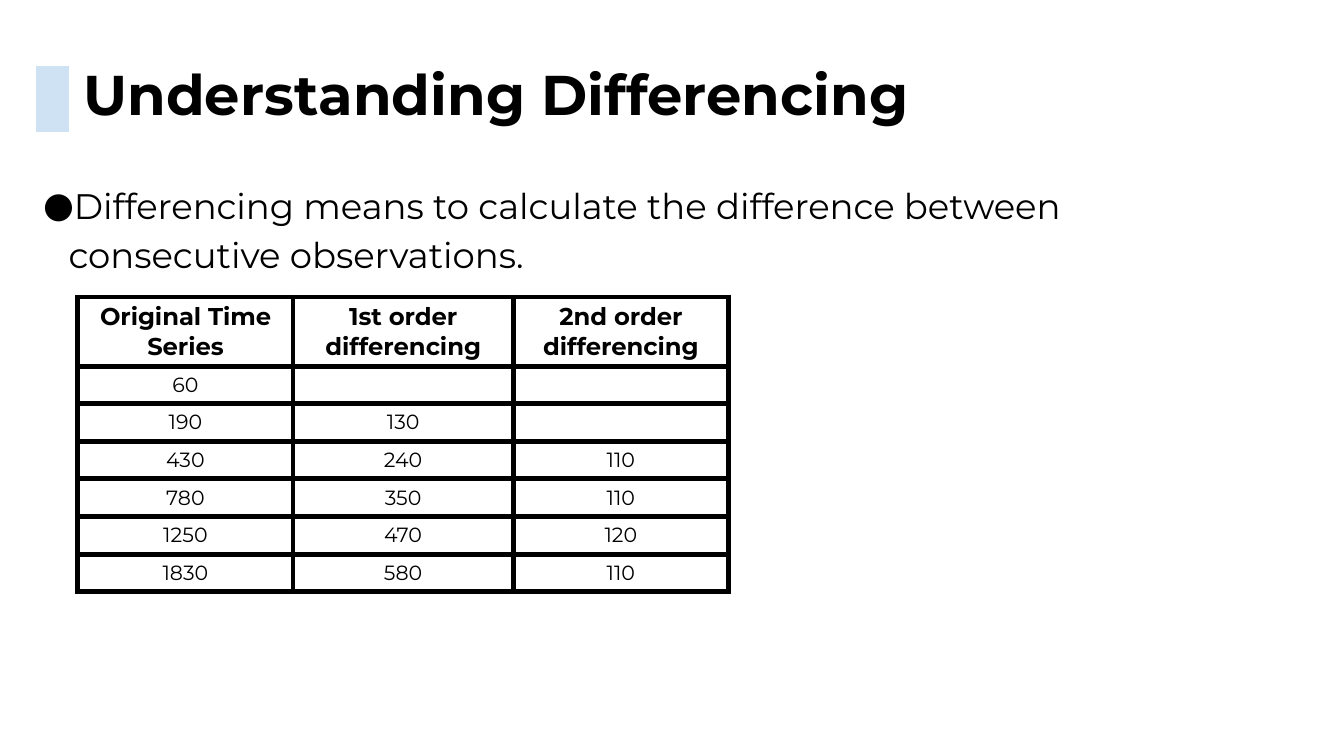
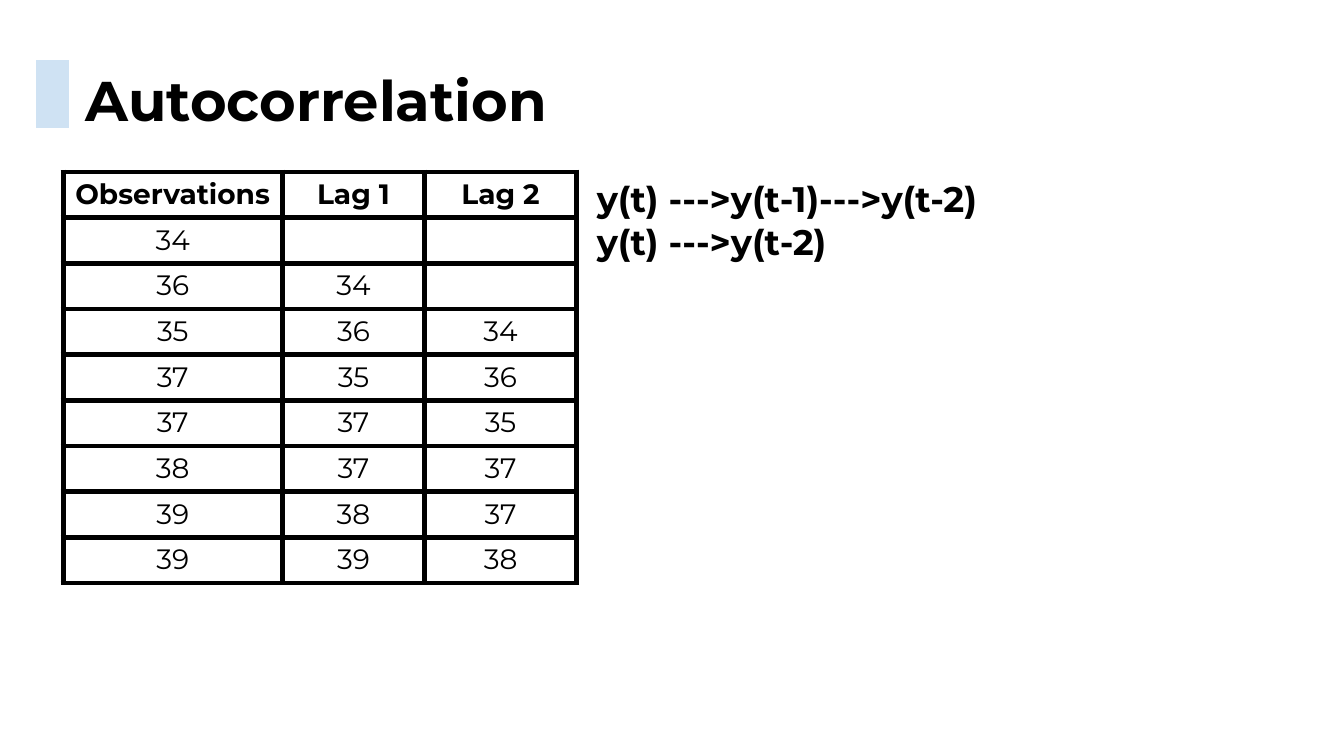
"""Build two slides on differencing and autocorrelation of a time series."""
from dataclasses import dataclass

from lxml.etree import SubElement
from pptx import Presentation
from pptx.dml.color import RGBColor
from pptx.enum.shapes import MSO_CONNECTOR
from pptx.enum.text import MSO_ANCHOR, PP_ALIGN
from pptx.oxml import parse_xml
from pptx.oxml.ns import nsdecls, qn
from pptx.util import Inches, Pt


@dataclass(frozen=True)
class Theme:
    """Colours, font and type sizes of the deck."""
    font: str = "Montserrat"
    ink: str = "000000"
    paper: str = "FFFFFF"
    accent: str = "CFE2F3"
    title_size: int = 30
    body_size: int = 19
    inset: float = 0.04
    accent_weight: int = 18
    border_weight: int = 3


class Deck:
    """Presentation with a shared style and a current slide."""

    def __init__(self, theme):
        """Start a 16:9 presentation."""
        self.theme = theme
        self.presentation = Presentation()
        self.presentation.slide_width = Inches(10)
        self.presentation.slide_height = Inches(10 * 9 / 16)
        self.slide = None

    def new_slide(self):
        """Add a blank slide and make it current."""
        blank = self.presentation.slide_layouts[6]
        self.slide = self.presentation.slides.add_slide(blank)
        background = self.slide.background.fill
        background.solid()
        background.fore_color.rgb = RGBColor.from_string(self.theme.paper)

    def add_run(self, paragraph, text, size, bold=False):
        """Append one styled run."""
        run = paragraph.add_run()
        run.text = text
        run.font.name = self.theme.font
        run.font.size = Pt(size)
        run.font.bold = bold
        run.font.color.rgb = RGBColor.from_string(self.theme.ink)

    def set_insets(self, holder):
        """Give a text frame or cell the shared margins."""
        inset = Inches(self.theme.inset)
        holder.margin_left = holder.margin_right = inset
        holder.margin_top = holder.margin_bottom = inset

    def add_text(self, lines, left, top, width, height, size, bold=False):
        """Add a text box with one paragraph per line and return its paragraphs."""
        frame = self.slide.shapes.add_textbox(
            Inches(left), Inches(top), Inches(width), Inches(height)).text_frame
        frame.word_wrap = True
        self.set_insets(frame)
        for index, line in enumerate(lines):
            paragraph = frame.add_paragraph() if index else frame.paragraphs[0]
            self.add_run(paragraph, line, size, bold)
        return frame.paragraphs

    def add_title(self, text, left, top, width):
        """Add a slide title."""
        self.add_text([text], left, top, width, 0.49, self.theme.title_size, True)

    def add_accent(self, top, bottom):
        """Add the thick vertical accent beside the title."""
        x = Inches(0.39)
        accent = self.slide.shapes.add_connector(
            MSO_CONNECTOR.STRAIGHT, x, Inches(top), x, Inches(bottom))
        accent.line.color.rgb = RGBColor.from_string(self.theme.accent)
        accent.line.width = Pt(self.theme.accent_weight)
        SubElement(accent._element.spPr, qn("a:effectLst"))

    def add_bullet(self, text, left, top, width, height):
        """Add a bulleted statement."""
        paragraph = self.add_text(
            [text], left, top, width, height, self.theme.body_size)[0]
        paragraph.line_spacing = 1.15
        properties = paragraph._p.get_or_add_pPr()
        properties.set("marL", str(Inches(0.19)))
        properties.set("indent", str(Inches(-0.23)))
        colour = SubElement(properties, qn("a:buClr"))
        SubElement(colour, qn("a:srgbClr"), val=self.theme.ink)
        SubElement(properties, qn("a:buFont"), typeface=self.theme.font)
        SubElement(properties, qn("a:buChar"), char="●")

    def add_borders(self, cell):
        """Draw all four borders of a cell."""
        properties = cell._tc.get_or_add_tcPr()
        for index, side in enumerate(("lnL", "lnR", "lnT", "lnB")):
            properties.insert(index, parse_xml(
                f'<a:{side} {nsdecls("a")} w="{Pt(self.theme.border_weight)}">'
                f'<a:solidFill><a:srgbClr val="{self.theme.ink}"/></a:solidFill>'
                f'</a:{side}>'))

    def fill_cell(self, cell, text, size, bold):
        """Style a cell and write its centred text."""
        self.set_insets(cell)
        cell.fill.background()
        self.add_borders(cell)
        paragraph = cell.text_frame.paragraphs[0]
        paragraph.alignment = PP_ALIGN.CENTER
        if text:
            self.add_run(paragraph, text, size, bold)
        else:
            SubElement(paragraph._p, qn("a:endParaRPr"), sz=str(size * 100))

    def add_table(self, columns, left, top, widths, header_height, row_height,
                  header_size, body_size, body_anchor):
        """Add a bordered table from a mapping of headings to values."""
        headings = list(columns)
        rows = [headings, *zip(*columns.values())]
        heights = [header_height] + [row_height] * (len(rows) - 1)
        table = self.slide.shapes.add_table(
            len(rows), len(headings), Inches(left), Inches(top),
            Inches(sum(widths)), Inches(sum(heights))).table
        table.first_row = table.horz_banding = False
        for column, width in zip(table.columns, widths):
            column.width = Inches(width)
        for r, (values, height) in enumerate(zip(rows, heights)):
            table.rows[r].height = Inches(height)
            header = r == 0
            for c, value in enumerate(values):
                cell = table.cell(r, c)
                cell.vertical_anchor = MSO_ANCHOR.TOP if header else body_anchor
                text = "" if value is None else str(value)
                self.fill_cell(cell, text, header_size if header else body_size, header)

    def save(self):
        """Write the presentation."""
        self.presentation.save("out.pptx")


def difference(series):
    """Return consecutive differences, with None where undefined."""
    return [None] + [None if before is None else after - before
                     for before, after in zip(series, series[1:])]


def lag(series, steps):
    """Shift a series down by a number of steps."""
    return [None] * steps + series[:-steps]


def build_differencing(deck):
    """Build the differencing slide."""
    series = [60, 190, 430, 780, 1250, 1830]
    first_order = difference(series)
    deck.new_slide()
    deck.add_title("Understanding Differencing", 0.58, 0.4, 7.27)
    deck.add_table(
        {"Original Time Series": series,
         "1st order differencing": first_order,
         "2nd order differencing": difference(first_order)},
        0.58, 2.21, [1.6, 1.64, 1.6], 0.46, 0.28, 13, 11, MSO_ANCHOR.MIDDLE)
    deck.add_accent(0.49, 0.98)
    deck.add_bullet(
        "Differencing means to calculate the difference between "
        "consecutive observations.", 0.28, 1.28, 9.18, 0.84)


def build_autocorrelation(deck):
    """Build the autocorrelation slide."""
    observations = [34, 36, 35, 37, 37, 38, 39, 39]
    deck.new_slide()
    deck.add_title("Autocorrelation", 0.6, 0.45, 4)
    deck.add_table(
        {"Observations": observations,
         "Lag 1": lag(observations, 1),
         "Lag 2": lag(observations, 2)},
        0.47, 1.28, [1.63, 1.06, 1.13], 0.34, 0.34, 15, 15, MSO_ANCHOR.TOP)
    deck.add_text(["y(t) --->y(t-1)--->y(t-2)", "y(t) --->y(t-2)"],
                  4.4, 1.28, 3.41, 0.84, deck.theme.body_size, True)
    deck.add_accent(0.45, 0.95)


def main():
    """Build and save the presentation."""
    deck = Deck(Theme())
    build_differencing(deck)
    build_autocorrelation(deck)
    deck.save()


if __name__ == "__main__":
    main()
